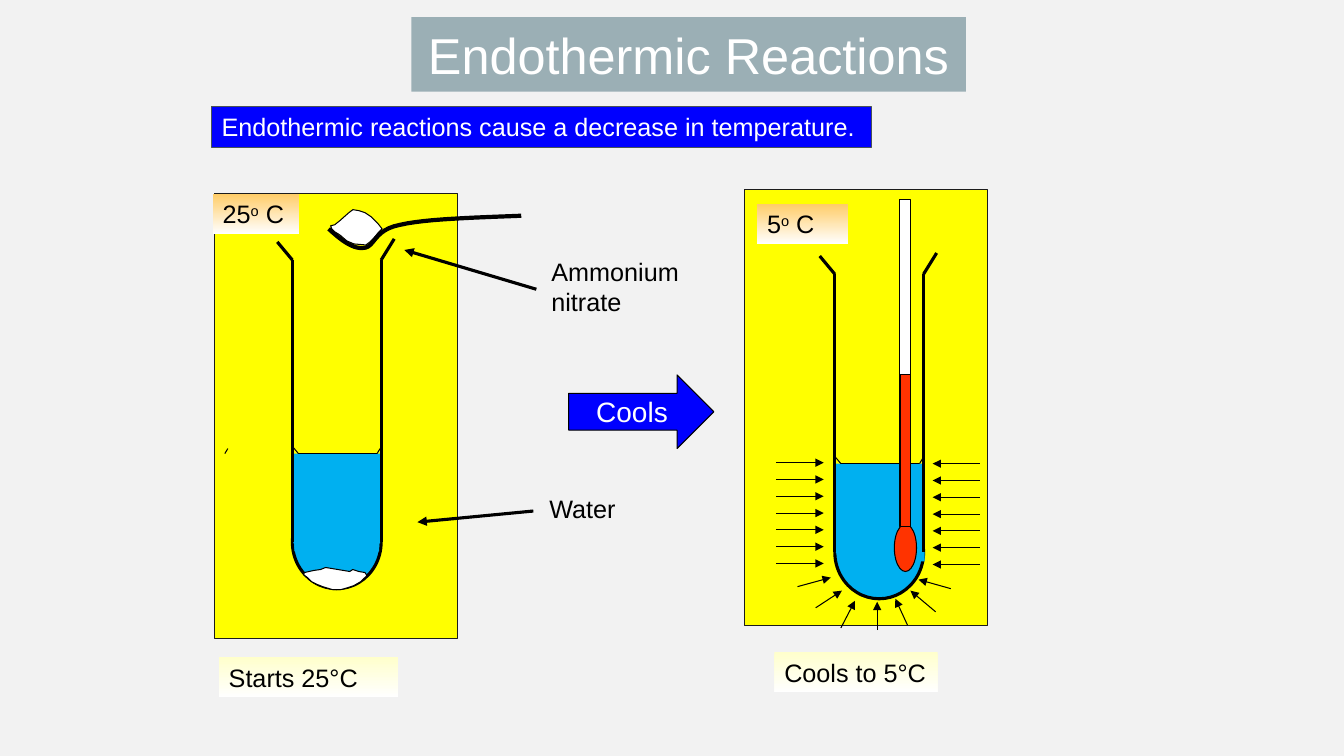
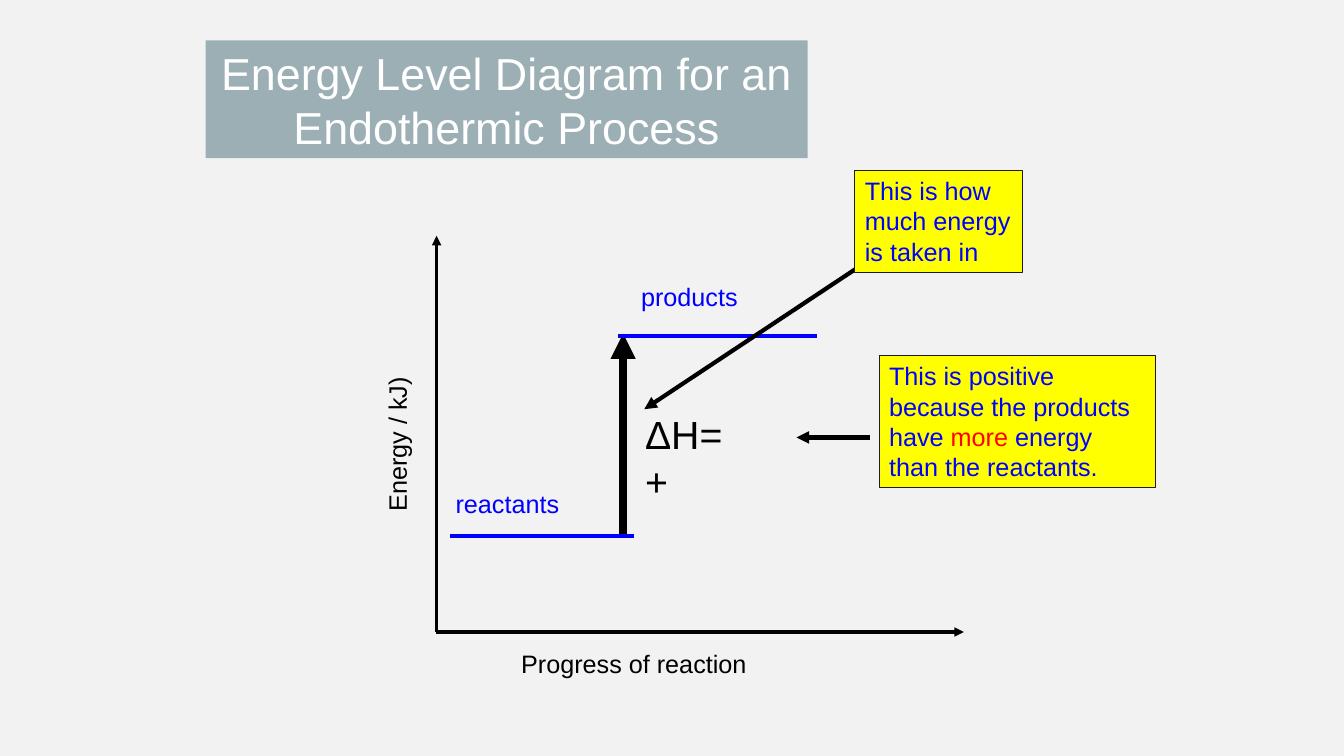
from dataclasses import dataclass
from typing import NamedTuple, Optional, Sequence, Union

from lxml import etree
from pptx import Presentation
from pptx import util as u
from pptx.dml.color import RGBColor
from pptx.enum import shapes, text
from pptx.oxml.ns import qn

CELL = u.Inches(0.1)
FONT = "Arial"
PAPER = RGBColor(0xF2, 0xF2, 0xF2)
BAND = RGBColor(0x9B, 0xAF, 0xB5)
BLACK = RGBColor(0, 0, 0)
WHITE = RGBColor(0xFF, 0xFF, 0xFF)
BLUE = RGBColor(0, 0, 0xFF)
RED = RGBColor(0xFF, 0, 0)
YELLOW = RGBColor(0xFF, 0xFF, 0)
EDGE = RGBColor(0x1C, 0x1C, 0x1C)
SLATE = RGBColor(0x4A, 0x53, 0x56)
WATER = RGBColor(0, 0xB0, 0xF0)
MERCURY = RGBColor(0xFF, 0x33, 0)
CREAM = RGBColor(0xFF, 0xFF, 0xCC)
ORANGE = RGBColor(0xFF, 0xCC, 0x66)

KIND = shapes.MSO_SHAPE
MIDDLE = text.MSO_ANCHOR.MIDDLE
CENTER = text.PP_ALIGN.CENTER


class Area(NamedTuple):
    column: float
    row: float
    columns: float
    rows: float


class Point(NamedTuple):
    column: float
    row: float


class Span(NamedTuple):
    words: str
    color: Optional[RGBColor] = None
    raised: bool = False


Line = Union[str, Sequence[Span]]


@dataclass(frozen=True)
class Tube:
    panel: Area
    left: float
    rim: float
    surface: float
    patch: float


@dataclass(frozen=True)
class Label:
    area: Area
    lines: Sequence[Line]
    color: RGBColor = BLACK
    fade: Optional[RGBColor] = None
    size: float = 18
    turn: float = 0


@dataclass(frozen=True)
class Stroke:
    start: Point
    end: Point
    width: float = 0.75
    arrow: bool = False
    color: RGBColor = BLACK


def cells(count: float) -> int:
    return round(count * CELL)


def write(box, lines: Sequence[Line], *, size: float = 18, color: RGBColor = BLACK,
          align=text.PP_ALIGN.LEFT, anchor=text.MSO_ANCHOR.TOP, right: float = 0) -> None:
    frame = box.text_frame
    frame.word_wrap = True
    frame.vertical_anchor = anchor
    frame.margin_right = cells(right)
    for index, line in enumerate(lines):
        para = frame.paragraphs[0] if index == 0 else frame.add_paragraph()
        para.alignment = align
        for part in [Span(line)] if isinstance(line, str) else line:
            span = para.add_run()
            span.text = part.words
            span.font.name = FONT
            span.font.size = u.Pt(size)
            span.font.color.rgb = part.color or color
            if part.raised:
                span.font._element.set("baseline", "30000")


def paint(shape, fill: Optional[RGBColor], edge: Optional[RGBColor], width: float) -> None:
    shape.shadow.inherit = False
    if fill is None:
        shape.fill.background()
    else:
        shape.fill.solid()
        shape.fill.fore_color.rgb = fill
    if edge is None:
        shape.line.fill.background()
    else:
        shape.line.color.rgb = edge
        shape.line.width = u.Pt(width)


def draw_shape(page, area: Area, fill: Optional[RGBColor], *, kind=KIND.RECTANGLE,
               edge: Optional[RGBColor] = None, width: float = 0.75):
    shape = page.shapes.add_shape(kind, *map(cells, area))
    paint(shape, fill, edge, width)
    return shape


def draw_stroke(page, stroke: Stroke) -> None:
    connector = page.shapes.add_connector(
        shapes.MSO_CONNECTOR.STRAIGHT, *map(cells, (*stroke.start, *stroke.end)))
    connector.line.color.rgb = stroke.color
    connector.line.width = u.Pt(stroke.width)
    if stroke.arrow:
        etree.SubElement(connector.get_or_add_ln(), qn("a:tailEnd"), type="triangle")
    etree.SubElement(connector._element.spPr, qn("a:effectLst"))


def draw_outline(page, points: Sequence[Point], fill: Optional[RGBColor], width: float) -> None:
    dots = [(cells(column), cells(row)) for column, row in points]
    builder = page.shapes.build_freeform(*dots[0])
    builder.add_line_segments(dots[1:], close=fill is not None)
    paint(builder.convert_to_shape(), fill, BLACK, width)


def curve(knots: Sequence[Point], steps: int = 12) -> list[Point]:
    points = [knots[0]]
    for first in range(0, len(knots) - 1, 3):
        corners = knots[first:first + 4]
        for step in range(1, steps + 1):
            t = step / steps
            weights = ((1 - t) ** 3, 3 * t * (1 - t) ** 2, 3 * t * t * (1 - t), t ** 3)
            points.append(Point(*(sum(w * c[axis] for w, c in zip(weights, corners))
                                  for axis in (0, 1))))
    return points


def draw_label(page, label: Label) -> None:
    if label.fade is None:
        box = page.shapes.add_textbox(*map(cells, label.area))
    else:
        box = draw_shape(page, label.area, WHITE)
        box.fill.gradient()
        box.fill.gradient_angle = 270
        for stop, color in zip(box.fill.gradient_stops, (label.fade, WHITE)):
            stop.color.rgb = color
    box.rotation = label.turn
    write(box, label.lines, size=label.size, color=label.color)


def draw_title(page, area: Area, lines: Sequence[Line], size: float) -> None:
    box = draw_shape(page, area, BAND)
    write(box, lines, size=size, color=WHITE, align=CENTER, anchor=MIDDLE, right=1)


def draw_note(page, area: Area, lines: Sequence[Line]) -> None:
    write(draw_shape(page, area, YELLOW, edge=EDGE), lines, color=BLUE, right=1)


def draw_tube(page, tube: Tube) -> None:
    left, rim, surface = tube.left, tube.rim, tube.surface
    right, foot = left + 8.8, surface + 8.8
    draw_shape(page, tube.panel, YELLOW, edge=EDGE)
    draw_shape(page, Area(left, surface + 4.2, 8.8, 9.2), WATER,
               kind=KIND.OVAL, edge=BLACK, width=2.25)
    draw_shape(page, Area(left + 0.1, surface, 8.6, 8.9), WATER)
    draw_shape(page, Area(left + tube.patch, surface + 8.6, 8.4, 1.1), WATER)
    for side, tip, lift in ((left, left - 1.5, 1.8), (right, right + 1.3, 2.1)):
        draw_stroke(page, Stroke(Point(side, rim), Point(side, foot), 2.25))
        draw_stroke(page, Stroke(Point(side, rim), Point(tip, rim - lift), 2.25))
    meniscus = (Point(left + 0.1, surface - 0.6), Point(left + 0.6, surface),
                Point(right - 0.4, surface), Point(right - 0.1, surface - 0.5))
    for start, end in zip(meniscus, meniscus[1:]):
        draw_stroke(page, Stroke(start, end))


WARM_TUBE = Tube(Area(21.3, 19.2, 24.1, 44.1), 29, 25.8, 45, 0.2)
COLD_TUBE = Tube(Area(73.8, 18.8, 24.1, 43.3), 82.8, 27.2, 46, 0.5)

SETTLED_POWDER = [Point(*pair) for pair in (
    (30.2, 56.8), (31.1, 56.6), (31.8, 56.5), (32.3, 56.3), (33.5, 56.5), (34.7, 56.7),
    (35, 56.5), (35.6, 56.7), (36.2, 56.8), (36.4, 57.1), (35.8, 57.7), (35.1, 58.1),
    (34.5, 58.3), (33.8, 58.5), (33, 58.5), (32, 58.2), (31.5, 58), (30.9, 57.7),
    (30.5, 57.3), (30.1, 57))]
SPOON_POWDER = [Point(*pair) for pair in (
    (32.8, 22.4), (33.2, 22.3), (33.7, 21.9), (34.6, 21.1), (35, 20.8), (35.6, 20.9),
    (36.2, 21.1), (36.8, 21.5), (37.5, 22.2), (37.9, 22.7), (37.5, 23.1), (37.1, 23.6),
    (36.7, 24), (36.3, 24.3), (35.1, 24.2), (34.4, 23.9), (33.7, 23.3), (33.2, 23),
    (32.9, 22.7))]
SPOON = [Point(*pair) for pair in (
    (32.6, 22.7), (33.7, 23.7), (34.9, 24.7), (36, 24.6), (37.2, 24.6), (37, 22.8),
    (39.7, 22.3), (42.3, 21.7), (47, 21.6), (51.7, 21.4))]

HEAT_FLOW = [Stroke(Point(outer, top + row * 5 / 3), Point(inner, top + row * 5 / 3), arrow=True)
             for outer, inner, top in ((77, 81.7, 45.9), (97.2, 92.5, 46)) for row in range(7)]
HEAT_FAN = [Stroke(Point(*outer), Point(*inner), arrow=True) for outer, inner in (
    ((79.1, 58.2), (82.4, 57.3)), ((80.9, 60.3), (83.5, 58.6)), ((83.4, 62.3), (84.8, 59.6)),
    ((87, 62.5), (87, 59.7)), ((90, 62), (88.8, 59.4)), ((92.8, 60.7), (90.3, 58.6)),
    ((94.3, 58.4), (91.1, 57.5)))]
POINTERS = [Stroke(Point(53.2, 28.7), Point(40.1, 24.8), 2.25, True),
            Stroke(Point(52.9, 50.7), Point(41.4, 51.8), 2.25, True),
            Stroke(Point(22.3, 45), Point(22.6, 44.5))]


def degrees(number: str) -> list[Span]:
    return [Span(number), Span("o", raised=True), Span(" C")]


TUBE_LABELS = [
    Label(Area(21.7, 65.2, 17.8, 4), ["Starts 25°C"], fade=CREAM),
    Label(Area(76.8, 64.7, 16.2, 4), ["Cools to 5°C"], fade=CREAM),
    Label(Area(53.7, 24.9, 14.8, 7.1), ["Ammonium", "nitrate"]),
    Label(Area(53.5, 48.4, 8.7, 4), ["Water"]),
    Label(Area(75.1, 20.2, 9, 4), [degrees("5")], fade=ORANGE),
    Label(Area(21.1, 19.2, 8.6, 4), [degrees("25")], fade=ORANGE),
]

LEVEL_STROKES = [
    Stroke(Point(61.8, 53.2), Point(61.8, 33.1), 6, True),
    Stroke(Point(43.3, 62.7), Point(43.3, 23.4), 2.25, True),
    Stroke(Point(43.2, 62.7), Point(95.6, 62.7), 2.25, True),
    Stroke(Point(44.6, 53.2), Point(62.9, 53.2), 3, color=BLUE),
    Stroke(Point(61.3, 33.3), Point(81, 33.3), 3, color=BLUE),
    Stroke(Point(86.3, 43.4), Point(79, 43.4), 3, True),
    Stroke(Point(85.9, 26), Point(63.9, 40.6), 3, True),
]
LEVEL_LABELS = [
    Label(Area(62.6, 27.4, 11.7, 4), ["products"], BLUE),
    Label(Area(44.2, 48, 12.4, 4), ["reactants"], BLUE),
    Label(Area(31.6, 42, 15.5, 4), ["Energy / kJ)"], turn=270),
    Label(Area(50.7, 63.8, 24.6, 4), ["Progress of reaction"]),
    Label(Area(63, 40.2, 10, 5.7), ["ΔH=+"], size=28),
]


def add_page(deck):
    page = deck.slides.add_slide(deck.slide_layouts[6])
    page.background.fill.solid()
    page.background.fill.fore_color.rgb = PAPER
    return page


def build_reactions(deck) -> None:
    page = add_page(deck)
    for tube in (COLD_TUBE, WARM_TUBE):
        draw_tube(page, tube)
    draw_shape(page, Area(88.7, 52, 2.2, 4.7), MERCURY, kind=KIND.OVAL, edge=BLACK)
    draw_shape(page, Area(89.2, 19.8, 1.1, 32.4), WHITE, edge=BLACK)
    draw_shape(page, Area(89.3, 37.2, 1, 15), MERCURY, edge=BLACK)
    draw_outline(page, SETTLED_POWDER, WHITE, 0.75)
    draw_outline(page, SPOON_POWDER, WHITE, 0.75)
    draw_outline(page, curve(SPOON), None, 3)
    cools = draw_shape(page, Area(56.4, 37.2, 14.4, 7.3), BLUE, kind=KIND.RIGHT_ARROW, edge=BLACK)
    write(cools, ["Cools"], size=20, color=WHITE, align=CENTER, anchor=MIDDLE, right=1)
    for stroke in HEAT_FLOW + HEAT_FAN + POINTERS:
        draw_stroke(page, stroke)
    for label in TUBE_LABELS:
        draw_label(page, label)
    summary = draw_shape(page, Area(21, 10.6, 65.4, 4), BLUE, edge=SLATE)
    write(summary, ["Endothermic reactions cause a decrease in temperature."], color=WHITE)
    draw_title(page, Area(40.8, 1.7, 55, 7.4), ["Endothermic Reactions"], 36)


def build_energy_levels(deck) -> None:
    page = add_page(deck)
    for stroke in LEVEL_STROKES:
        draw_stroke(page, stroke)
    for label in LEVEL_LABELS:
        draw_label(page, label)
    draw_title(page, Area(20.4, 4, 59.7, 11.7),
               ["Energy Level Diagram for an", "Endothermic Process"], 32)
    draw_note(page, Area(87.2, 35.3, 27.4, 13.1), ["This is positive", [
        Span("because the products have "), Span("more", RED),
        Span(" energy than the reactants.")]])
    draw_note(page, Area(84.8, 16.9, 16.6, 10.1), ["This is how", "much energy", "is taken in"])


def main() -> None:
    deck = Presentation()
    deck.slide_width, deck.slide_height = u.Inches(13.33), u.Inches(7.5)
    build_reactions(deck)
    build_energy_levels(deck)
    deck.save("out.pptx")


if __name__ == "__main__":
    main()
